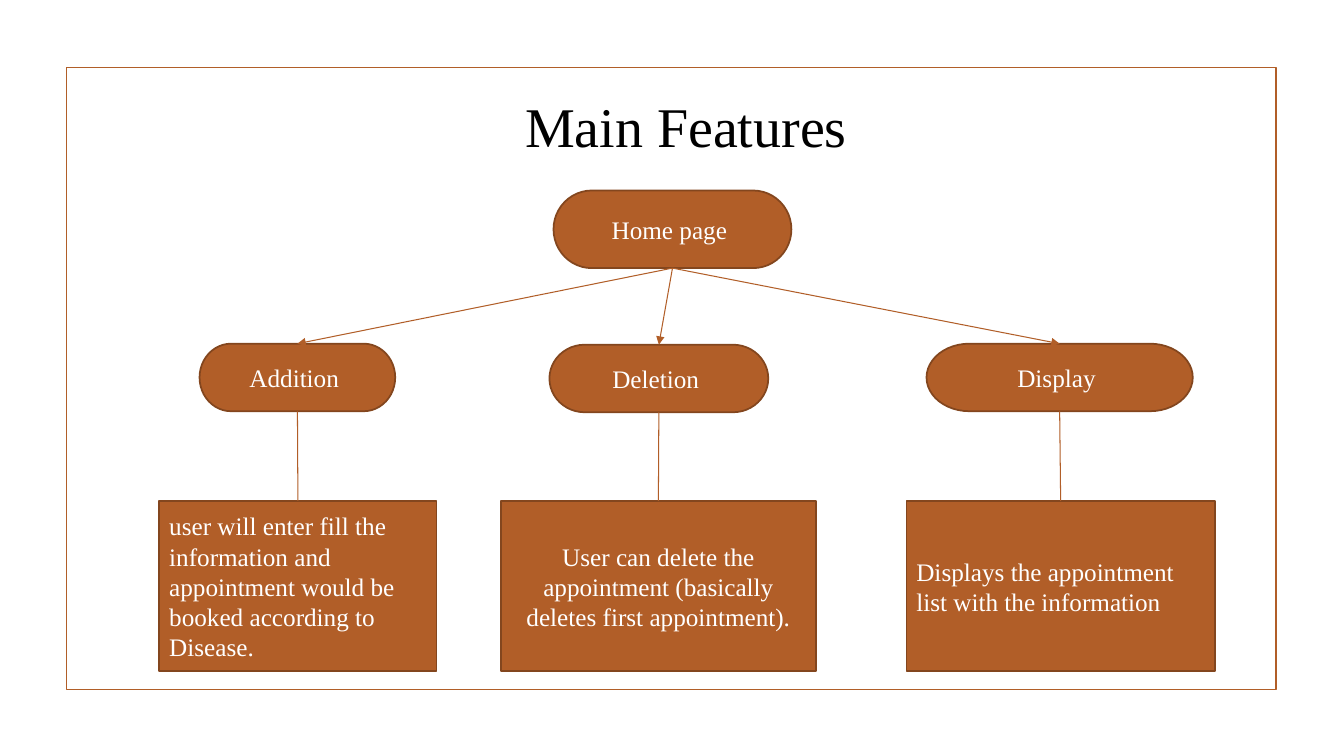
from lxml import etree
from pptx import Presentation
from pptx.dml.color import RGBColor
from pptx.enum.shapes import MSO_CONNECTOR, MSO_SHAPE
from pptx.enum.text import MSO_ANCHOR, PP_ALIGN
from pptx.oxml.ns import qn
from pptx.util import Pt

PX = 9144
PILL = MSO_SHAPE.FLOWCHART_TERMINATOR
BOX = MSO_SHAPE.FLOWCHART_PROCESS
RECT = MSO_SHAPE.RECTANGLE
LINE = MSO_CONNECTOR.STRAIGHT
MID = MSO_ANCHOR.MIDDLE
LEFT, CENTER = PP_ALIGN.LEFT, PP_ALIGN.CENTER
TOP, BOTTOM = 0, 2
RUST, BROWN, WHITE, BLACK = "B15E28", "83461E", "FFFFFF", "000000"
FONT = "Times New Roman"

TREE = [
    ("Addition ", (198, 341, 194, 67), (158, 497, 275, 169), LEFT,
     "user will enter fill the information and appointment would be "
     "booked according to Disease."),
    ("Deletion ", (545, 342, 217, 67), (497, 497, 312, 169), CENTER,
     "User can delete the appointment (basically deletes first appointment)."),
    ("Display ", (919, 341, 264, 67), (899, 497, 306, 169), LEFT,
     "Displays the appointment list with the information"),
]


def px(*nums):
    """Turn px lengths into EMU."""
    return [num * PX for num in nums]


def color(code):
    """Turn a hex string into a colour."""
    return RGBColor.from_string(code)


def style(item, form):
    """Set each attribute named in a dict of format values."""
    for name, value in form.items():
        setattr(item, name, value)


def stroke(item, code, width):
    """Give a shape or connector its line."""
    item.line.color.rgb = color(code)
    item.line.width = Pt(width)


def write(item, text, size, code, align):
    """Put one styled paragraph into a shape."""
    para = item.text_frame.paragraphs[0]
    para.alignment = align
    run = para.add_run()
    style(run, {"text": text})
    style(run.font, {"name": FONT, "size": Pt(size)})
    run.font.color.rgb = color(code)


def add_frame(slide, area):
    """Draw the outlined border."""
    frame = slide.shapes.add_shape(RECT, *px(*area))
    frame.shadow.inherit = False
    frame.fill.background()
    stroke(frame, RUST, 1.25)


def add_title(slide, area, text):
    """Add the slide heading."""
    title = slide.shapes.add_textbox(*px(*area))
    title.text_frame.word_wrap = True
    write(title, text, 40, BLACK, LEFT)


def add_node(slide, kind, area, text, align=CENTER):
    """Add a filled chart node with its text."""
    node = slide.shapes.add_shape(kind, *px(*area))
    node.shadow.inherit = False
    node.fill.solid()
    node.fill.fore_color.rgb = color(RUST)
    stroke(node, BROWN, 1.25)
    style(node.text_frame, {"word_wrap": True, "vertical_anchor": MID})
    write(node, text, 18, WHITE, align)
    return node


def link(slide, upper, lower, arrow=False):
    """Join the bottom of one node to the top of another."""
    wire = slide.shapes.add_connector(LINE, 0, 0, 0, 0)
    wire.begin_connect(upper, BOTTOM)
    wire.end_connect(lower, TOP)
    stroke(wire, RUST, 0.75)
    if arrow:
        tail = etree.SubElement(wire.line._get_or_add_ln(), qn("a:tailEnd"))
        tail.set("type", "triangle")
    etree.SubElement(wire._element.spPr, qn("a:effectLst"))


def main():
    """Build the slide and save it."""
    deck = Presentation()
    style(deck, {"slide_width": 1333 * PX, "slide_height": 750 * PX})
    slide = deck.slides.add_slide(deck.slide_layouts[6])
    add_frame(slide, (66, 67, 1200, 617))
    add_title(slide, (511, 86, 397, 77), "Main Features")
    home = add_node(slide, PILL, (549, 189, 236, 77), "Home page ")
    for name, pill_at, box_at, align, text in TREE:
        pill = add_node(slide, PILL, pill_at, name)
        box = add_node(slide, BOX, box_at, text, align)
        link(slide, home, pill, arrow=True)
        link(slide, pill, box)
    deck.save("out.pptx")


if __name__ == "__main__":
    main()
